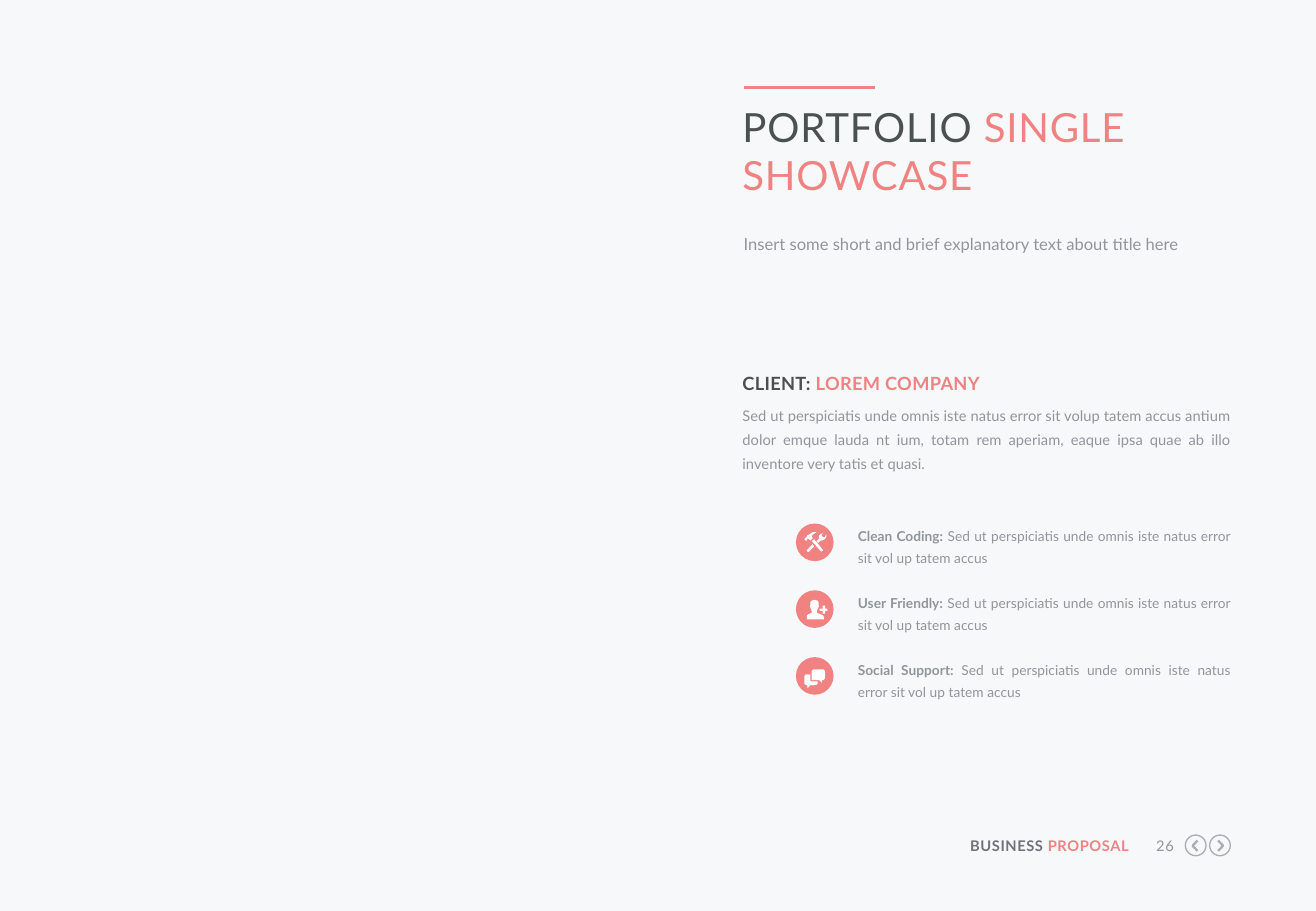
from lxml import etree
from pptx import Presentation
from pptx.dml.color import RGBColor
from pptx.enum import shapes, text
from pptx.oxml import ns
from pptx.util import Inches, Pt

CORAL, DARK, GREY, WHITE = "F08282", "4B5050", "91969B", "FFFFFF"
RING = "AAAFB4"
LEFT, JUST, RIGHT = (text.PP_ALIGN.LEFT, text.PP_ALIGN.JUSTIFY,
                     text.PP_ALIGN.RIGHT)
FILLER = "Sed ut perspiciatis unde omnis iste natus error "

# Icon outlines, in hundredths of an inch from the corner of the disc
TOOLS = [
    [(9, 13), (10.5, 12.7), (12, 14), (14, 12), (13, 11), (13.5, 9.3),
     (17, 7.2), (14, 7), (11, 9), (9, 10), (9, 11), (7.2, 12.2),
     (7, 13), (8.2, 14.3), (9, 14)],
    [(15, 13), (13, 14.5), (21, 23.2), (22.5, 22)],
    [(25, 9), (23.5, 11.5), (22, 11), (21, 9.5), (22.5, 8), (20.5, 8.5),
     (19, 10), (19, 12.5), (17, 14.5), (18.3, 16), (20.5, 14),
     (22, 14), (24, 12.7), (25, 11)],
    [(9, 22), (9, 22.7), (10, 23.5), (11, 23), (15, 19), (13.8, 17)],
]
USER = [
    [(23, 22), (23, 24), (9, 24), (9, 20.7), (10.5, 19.6), (13, 18.5),
     (13, 17), (12.3, 15.3), (11.5, 13), (12, 11.7), (12, 9.7), (13, 8.4),
     (15.5, 7.8), (17.8, 8.5), (18.8, 10), (18.6, 11.7), (19, 13),
     (18, 15.3), (17.2, 17), (17.4, 18.5), (20, 19.6), (22.3, 20.6)],
    [(26, 15), (26, 17), (24, 17), (24, 19.3), (22, 19.3), (22, 17),
     (19.5, 17), (19.5, 15), (22, 15), (22, 12.5), (24, 12.5), (24, 15)],
]
CHAT = [
    [(18, 20), (18, 22), (16.5, 23), (12, 23), (9.5, 25.7), (9.5, 23),
     (8, 23), (7, 22), (7, 15.5), (8, 14.3), (12, 14.3), (12, 20)],
    [(24, 11.5), (24, 17.5), (22.7, 19), (21.5, 19), (21.5, 21.3),
     (19.3, 19), (13, 19), (13, 11.5), (14.3, 10), (22.7, 10)],
]


def color(code):
    return RGBColor.from_string(code)


def paint(shape, fill=None, line=None, width=1):
    shape.shadow.inherit = False
    if fill:
        shape.fill.solid()
        shape.fill.fore_color.rgb = color(fill)
    else:
        shape.fill.background()
    if line:
        shape.line.color.rgb = color(line)
        shape.line.width = Pt(width)
    else:
        shape.line.fill.background()


def write(slide, box, parts, size, align=LEFT, lead=None, gap=0):
    """Each part is (words, colour, bold); gap is letter spacing in points."""
    frame = slide.shapes.add_textbox(*map(Inches, box)).text_frame
    frame.word_wrap = True
    frame.margin_left = frame.margin_right = 0
    frame.margin_top = frame.margin_bottom = 0
    para = frame.paragraphs[0]
    para.alignment = align
    if lead:
        para.line_spacing = Pt(lead)
    for words, tint, bold in parts:
        run = para.add_run()
        run.text = words
        font = run.font
        font.name, font.size, font.bold = "Lato", Pt(size), bold
        font.color.rgb = color(tint)
        if gap:
            run._r.get_or_add_rPr().set("spc", str(round(gap * 100)))


def outline(parent, left, top, loops, close=True):
    grid = [[(Inches(x / 100), Inches(y / 100)) for x, y in loop]
            for loop in loops]
    pen = parent.build_freeform(*grid[0][0])
    for index, loop in enumerate(grid):
        if index:
            pen.move_to(*loop[0])
        pen.add_line_segments(loop[1:], close=close)
    return pen.convert_to_shape(Inches(left), Inches(top))


def disc(parent, left, top, size):
    return parent.add_shape(shapes.MSO_SHAPE.OVAL, Inches(left), Inches(top),
                            Inches(size), Inches(size))


def header(slide, left, top, width):
    # Accent rule
    rule = slide.shapes.add_connector(
        shapes.MSO_CONNECTOR.STRAIGHT, Inches(left + 0.01), Inches(top),
        Inches(left + 1.09), Inches(top))
    rule.line.color.rgb = color(CORAL)
    rule.line.width = Pt(2.25)
    etree.SubElement(rule._element.spPr, ns.qn("a:effectLst"))
    # Title and subtitle
    write(slide, (left, top + 0.12, width, 0.92),
          [("PORTFOLIO ", DARK, False), ("SINGLE SHOWCASE", CORAL, False)],
          23.8, gap=0.5)
    write(slide, (left + 0.01, top + 1.19, width, 0.21),
          [("Insert some short and brief explanatory text about title here",
            GREY, False)], 9.8, lead=13)


def client(slide, left, top, width):
    write(slide, (left, top, width, 0.25),
          [("CLIENT: ", DARK, True), ("LOREM COMPANY", CORAL, True)],
          10.8, lead=18.4, gap=0.2)
    write(slide, (left, top + 0.31, width, 0.59),
          [(FILLER + "sit volup tatem accus antium dolor emque lauda nt ium, "
            "totam rem aperiam, eaque ipsa quae ab illo inventore very tatis "
            "et quasi.", GREY, False)], 8.7, JUST, 14.1)


def feature(slide, left, top, width, label, icon):
    group = slide.shapes.add_group_shape().shapes
    paint(disc(group, left, top + 0.01, 0.31), CORAL)
    paint(outline(group, left, top + 0.01, icon), WHITE)
    write(slide, (left + 0.51, top, width - 0.51, 0.36),
          [(label, GREY, True),
           (" " + FILLER + "sit vol up tatem accus", GREY, False)],
          8.1, JUST, 13)


def footer(slide, left, top):
    write(slide, (left, top + 0.02, 1.37, 0.15),
          [("BUSINESS ", "6E7378", True), ("PROPOSAL", CORAL, True)],
          8.7, RIGHT, gap=0.3)
    write(slide, (left + 1.49, top + 0.02, 0.25, 0.15),
          [("26", GREY, False)], 8.7, RIGHT, gap=0.3)
    # Back and forward buttons
    for shift, tail, tip in ((1.83, 10.5, 6.5), (2.03, 7.5, 11.5)):
        paint(disc(slide.shapes, left + shift + 0.005, top + 0.005, 0.17),
              line=RING, width=0.8)
        arrow = [(tail, 5), (tip, 9.3), (tail, 13.6)]
        paint(outline(slide.shapes, left + shift, top, [arrow], False),
              line=RING, width=1.4)


def main():
    deck = Presentation()
    deck.slide_width, deck.slide_height = Inches(10.83), Inches(7.5)
    slide = deck.slides.add_slide(deck.slide_layouts[6])
    slide.background.fill.solid()
    slide.background.fill.fore_color.rgb = color("F6F8FA")
    header(slide, 6.11, 0.72, 4.02)
    client(slide, 6.11, 2.99, 4.02)
    rows = (("Clean Coding:", TOOLS), ("User Friendly:", USER),
            ("Social Support:", CHAT))
    for index, (label, icon) in enumerate(rows):
        feature(slide, 6.55, 4.3 + 0.55 * index, 3.58, label, icon)
    footer(slide, 7.92, 6.87)
    deck.save("out.pptx")


if __name__ == "__main__":
    main()
